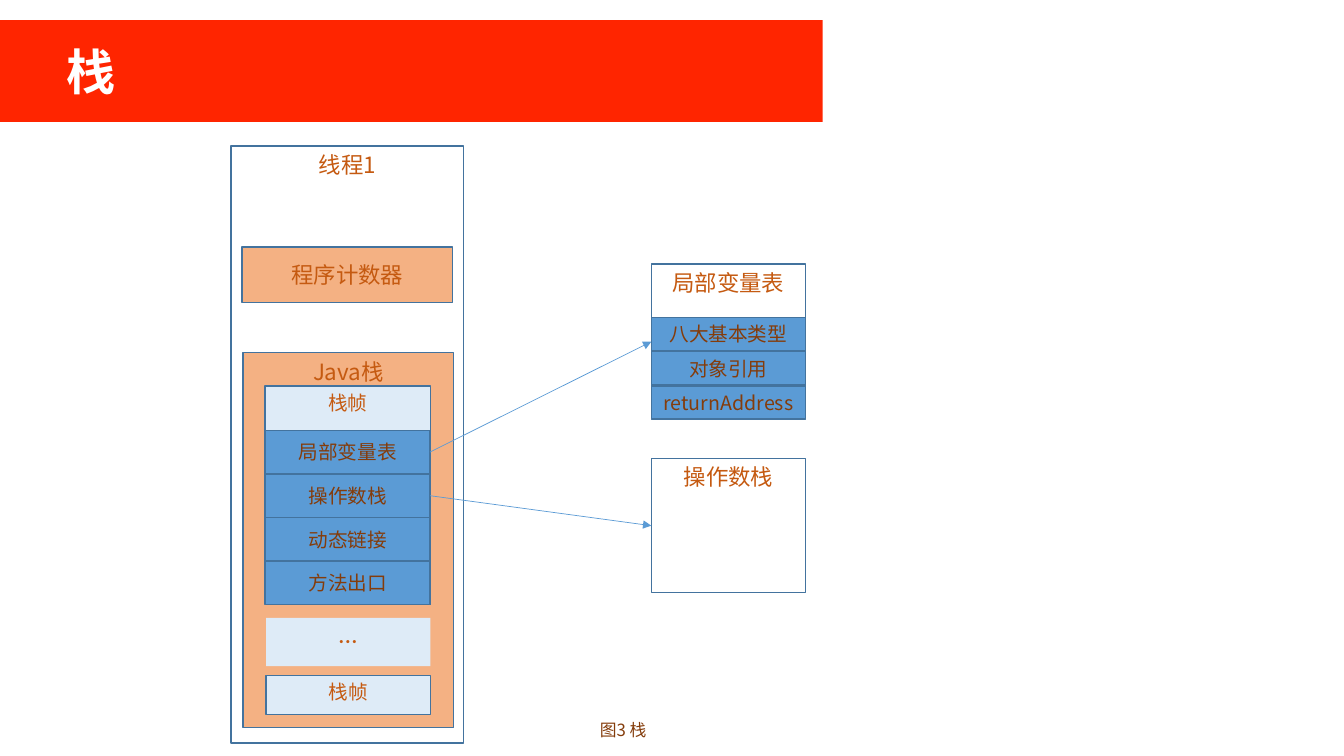
from lxml import etree
from pptx import Presentation
from pptx.dml.color import RGBColor
from pptx.enum.shapes import MSO_CONNECTOR, MSO_SHAPE
from pptx.enum.text import MSO_ANCHOR, MSO_AUTO_SIZE, PP_ALIGN
from pptx.oxml.ns import qn
from pptx.util import Inches, Pt

RECT = MSO_SHAPE.RECTANGLE
STRAIGHT = MSO_CONNECTOR.STRAIGHT
TOP, MIDDLE = MSO_ANCHOR.TOP, MSO_ANCHOR.MIDDLE
LEFT, CENTER = PP_ALIGN.LEFT, PP_ALIGN.CENTER
FIT = MSO_AUTO_SIZE.SHAPE_TO_FIT_TEXT

WHITE = RGBColor(0xFF, 0xFF, 0xFF)
RED = RGBColor(0xFF, 0x25, 0x00)
NAVY = RGBColor(0x43, 0x73, 0x9E)
BLUE = RGBColor(0x5B, 0x9B, 0xD5)
PALE = RGBColor(0xDE, 0xEB, 0xF7)
PEACH = RGBColor(0xF4, 0xB1, 0x83)
RUST = RGBColor(0xC5, 0x5A, 0x11)
BROWN = RGBColor(0x84, 0x3C, 0x0B)

SANS, BOLD = "Noto Sans CJK JP", "Noto Sans CJK SC"

# Content: text, box (left, top, width, height)
TITLE = ("栈", (0.56, 0.36, 0.69, 0.69))
CAPTION = ("图3 栈", (5.85, 7.09, 1.51, 0.3))
BANNER = (-0.02, 0.2, 8.18, 1.01)
DOTS = ("…", (2.64, 6.13, 1.63, 0.48))

# Boxes: text, box, fill, size, anchor
BOXES = [
    ("线程1", (2.29, 1.45, 2.31, 5.92), WHITE, 16, TOP),
    ("Java栈", (2.41, 3.5, 2.09, 3.72), PEACH, 16, TOP),
    ("栈帧", (2.63, 3.83, 1.64, 2.17), PALE, 14, TOP),
    ("栈帧", (2.64, 6.7, 1.63, 0.39), PALE, 14, TOP),
    ("程序计数器", (2.4, 2.45, 2.09, 0.55), PEACH, 16, MIDDLE),
]
TABLES = [
    ("局部变量表", (6.46, 2.62, 1.53, 1.54), WHITE, 16, TOP),
    ("操作数栈", (6.46, 4.55, 1.53, 1.33), WHITE, 16, TOP),
]

# Stacked rows: texts, first box, step
FRAME = (["局部变量表", "操作数栈", "动态链接", "方法出口"],
         (2.635, 4.27, 1.63, 0.43), 0.433)
KINDS = (["八大基本类型", "对象引用", "returnAddress"],
         (6.46, 3.15, 1.53, 0.325), 0.34)

prs = Presentation()
prs.slide_width, prs.slide_height = Inches(13.33), Inches(7.5)
slide = prs.slides.add_slide(prs.slide_layouts[6])
shapes = slide.shapes


def write(shape, text, size, color, face=SANS, bold=False,
          anchor=TOP, align=CENTER):
    frame = shape.text_frame
    frame.vertical_anchor = anchor
    para = frame.paragraphs[0]
    para.alignment = align
    run = para.add_run()
    run.text = text
    look = {"name": face, "size": Pt(size), "bold": bold}
    for key, value in look.items():
        setattr(run.font, key, value)
    run.font.color.rgb = color
    east = etree.SubElement(run.font._element, qn("a:ea"))
    east.set("typeface", face)


def block(box, fill, edge=NAVY):
    shape = shapes.add_shape(RECT, *map(Inches, box))
    shape.shadow.inherit = False
    shape.fill.solid()
    shape.fill.fore_color.rgb = fill
    if edge is None:
        shape.line.fill.background()
    else:
        shape.line.color.rgb = edge
        shape.line.width = Pt(1)
    return shape


def panel(text, box, fill, size, anchor):
    shape = block(box, fill)
    write(shape, text, size, RUST, anchor=anchor)
    return shape


def stack(texts, first, step):
    left, top, width, height = first
    rows = []
    for i, text in enumerate(texts):
        row = block((left, top + i * step, width, height), BLUE)
        row.text_frame.margin_left = row.text_frame.margin_right = Inches(0.05)
        write(row, text, 14, BROWN, anchor=MIDDLE)
        rows.append(row)
    return rows


def label(text, box, wrap, size, color, face, bold):
    shape = shapes.add_textbox(*map(Inches, box))
    shape.text_frame.word_wrap = wrap
    shape.text_frame.auto_size = FIT
    write(shape, text, size, color, face, bold, align=LEFT)


def arrow(start, end):
    line = shapes.add_connector(STRAIGHT, 0, 0, 0, 0)
    line.begin_connect(start, 3)
    line.end_connect(end, 1)
    line.line.color.rgb = BLUE
    line.line.width = Pt(0.5)
    props = line._element.spPr
    etree.SubElement(props.find(qn("a:ln")), qn("a:tailEnd"), type="triangle")
    etree.SubElement(props, qn("a:effectLst"))


# Thread with its stack and counter
for item in BOXES:
    panel(*item)
write(block(DOTS[1], PALE, None), DOTS[0], 14, RUST, BOLD, True, MIDDLE)
rows = stack(*FRAME)

# Detail tables, arrows, then the rows above them
tables = [panel(*item) for item in TABLES]
for row, table in zip(rows, tables):
    arrow(row, table)
stack(*KINDS)

# Title banner and caption
block(BANNER, RED, None)
label(*TITLE, False, 35, WHITE, BOLD, True)
label(*CAPTION, True, 12, BROWN, SANS, False)

prs.save("out.pptx")
